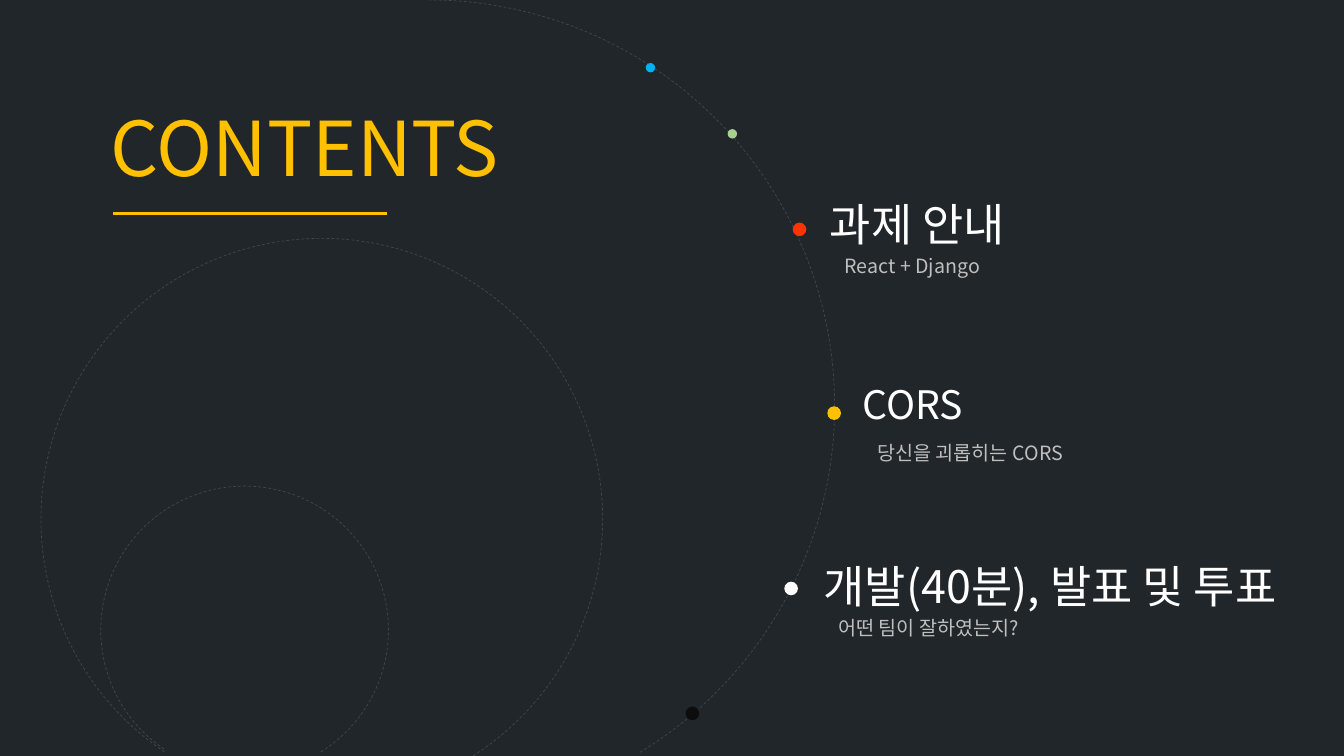
from lxml import etree
from pptx import Presentation
from pptx.dml.color import RGBColor
from pptx.enum.dml import MSO_LINE
from pptx.enum.shapes import MSO_CONNECTOR, MSO_SHAPE
from pptx.enum.text import MSO_ANCHOR, MSO_AUTO_SIZE, PP_ALIGN
from pptx.oxml.ns import qn
from pptx.util import Emu, Pt

ARC, OVAL = MSO_SHAPE.ARC, MSO_SHAPE.OVAL
STRAIGHT, DASH = MSO_CONNECTOR.STRAIGHT, MSO_LINE.DASH
TOP, LEFT, NO_FIT = MSO_ANCHOR.TOP, PP_ALIGN.LEFT, MSO_AUTO_SIZE.NONE
FONT = "Noto Sans CJK KR"
BACK, RING, AMBER, WHITE, GREY = "21262A", "3E4850", "FFC000", "FFFFFF", "BFBFBF"
ARC_END = 35.32
SUB_DX, SUB_DY = 14, 69

RINGS = [(39, 227, 535, 74.44), (22, 0, 773, 162), (96, 463, 274, 74.44)]
DOTS = [
    (788, 387, 13, AMBER),
    (747, 554, 13, WHITE),
    (755, 212, 13, "FF3300"),
    (693, 123, 9, "A9D18E"),
    (615, 60, 9, "00B0F0"),
    (653, 673, 13, "0D0D0D"),
]
TOPICS = [
    (781, 157, 516, 78, 32, "과제 안내", "React + Django"),
    (812, 335, 468, 70, 28, "CORS", "당신을 괴롭히는 CORS"),
    (775, 502, 506, 78, 32, "개발(40분), 발표 및 투표", "어떤 팀이 잘하였는지?"),
]


def px(n):
    """Turn pixels (96 to the inch) into EMU."""
    return Emu(n * 9525)


def rgb(value):
    """Turn a hex string into a colour."""
    return RGBColor.from_string(value)


def write(sp, text, size, color, spacing=1.0):
    """Put one formatted line of text into a shape."""
    tf = sp.text_frame
    tf.word_wrap = True
    tf.auto_size = NO_FIT
    tf.vertical_anchor = TOP
    p = tf.paragraphs[0]
    p.alignment = LEFT
    p.line_spacing = spacing
    r = p.add_run()
    r.text = text
    r.font.name = FONT
    r.font.size = Pt(size)
    r.font.color.rgb = rgb(color)
    etree.SubElement(r.font._element, qn("a:ea")).set("typeface", FONT)


def add_label(s, x, y, w, h, text, **style):
    """Add a text box."""
    write(s.shapes.add_textbox(px(x), px(y), px(w), px(h)), text, **style)


def add_title(s, x, y, w, h, text, **style):
    """Move and fill the title placeholder."""
    sp = s.shapes.title
    sp.left, sp.top, sp.width, sp.height = px(x), px(y), px(w), px(h)
    write(sp, text, **style)


def add_ring(s, x, y, d, start):
    """Add a dashed open ring."""
    sp = s.shapes.add_shape(ARC, px(x), px(y), px(d), px(d))
    sp.adjustments[0] = start
    sp.adjustments[1] = ARC_END
    sp.shadow.inherit = False
    sp.fill.background()
    sp.line.color.rgb = rgb(RING)
    sp.line.width = Pt(0.5)
    sp.line.dash_style = DASH


def add_dot(s, x, y, d, color):
    """Add a filled dot without an outline."""
    sp = s.shapes.add_shape(OVAL, px(x), px(y), px(d), px(d))
    sp.shadow.inherit = False
    sp.fill.solid()
    sp.fill.fore_color.rgb = rgb(color)
    sp.line.fill.background()


def add_rule(s, x1, x2, y, color, width):
    """Add a horizontal line."""
    line = s.shapes.add_connector(STRAIGHT, px(x1), px(y), px(x2), px(y))
    line.line.color.rgb = rgb(color)
    line.line.width = Pt(width)
    etree.SubElement(line._element.spPr, qn("a:effectLst"))


def add_topic(s, x, y, w, h, size, heading, detail):
    """Add a heading with its smaller line below."""
    add_label(s, x, y, w, h, heading, size=size, color=WHITE, spacing=1.5)
    add_label(s, x + SUB_DX, y + SUB_DY, 306, 39, detail,
              size=14, color=GREY, spacing=1.5)


def main():
    """Build the contents slide."""
    prs = Presentation()
    prs.slide_width, prs.slide_height = px(1280), px(720)
    s = prs.slides.add_slide(prs.slide_layouts[5])
    s.background.fill.solid()
    s.background.fill.fore_color.rgb = rgb(BACK)
    for ring in RINGS:
        add_ring(s, *ring)
    for dot in DOTS:
        add_dot(s, *dot)
    add_title(s, 96, 91, 516, 97, "CONTENTS", size=54, color=AMBER)
    add_rule(s, 369, 108, 203, AMBER, 2.25)
    for topic in TOPICS:
        add_topic(s, *topic)
    prs.save("out.pptx")


if __name__ == "__main__":
    main()
